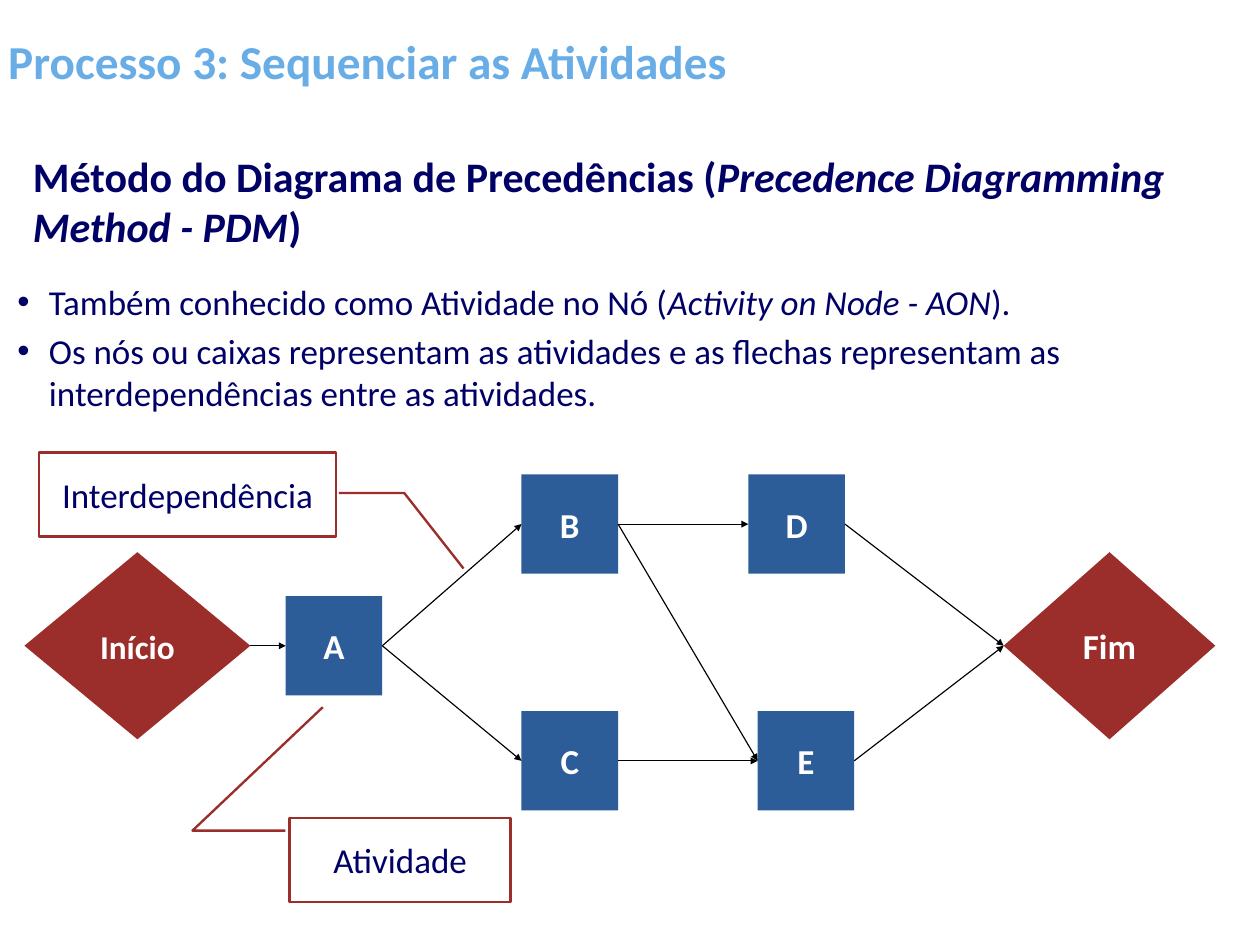
from lxml.etree import SubElement
from pptx import Presentation
from pptx.dml.color import RGBColor
from pptx.enum.shapes import MSO_CONNECTOR, MSO_SHAPE
from pptx.enum.text import MSO_ANCHOR, PP_ALIGN
from pptx.oxml.ns import qn
from pptx.util import Cm, Pt

NAVY = RGBColor(0x00, 0x00, 0x66)
BLUE = RGBColor(0x2C, 0x5D, 0x98)
LIGHT_BLUE = RGBColor(0x69, 0xAD, 0xE7)
RED = RGBColor(0x9B, 0x2D, 0x2A)
WHITE = RGBColor(0xFF, 0xFF, 0xFF)
BLACK = RGBColor(0x00, 0x00, 0x00)
LEFT, RIGHT = 1, 3  # connection sites


def write(paragraph, parts, size, color, bold=False, align=PP_ALIGN.LEFT):
    """Fill a paragraph; every second part is italic."""
    paragraph.alignment = align
    font = paragraph.font
    font.name, font.size, font.bold = "Calibri", Pt(size), bold
    font.color.rgb = color
    for index, part in enumerate(parts):
        run = paragraph.add_run()
        run.text = part
        if index % 2:
            run.font.italic = True


def add_labelled_shape(kind, box, label, fill, color, size=30, bold=True):
    shape = slide.shapes.add_shape(kind, *map(Cm, box))
    shape.shadow.inherit = False
    shape.fill.solid()
    shape.fill.fore_color.rgb = fill
    shape.line.fill.background()
    shape.text_frame.vertical_anchor = MSO_ANCHOR.MIDDLE
    write(shape.text_frame.paragraphs[0], [label], size, color, bold, PP_ALIGN.CENTER)
    return shape


presentation = Presentation()
presentation.slide_width, presentation.slide_height = Cm(38.1), Cm(28.58)
slide = presentation.slides.add_slide(presentation.slide_layouts[5])

# Title
title = slide.shapes.title
title.left, title.top, title.width, title.height = Cm(0.74), Cm(4.42), Cm(36.35), Cm(2.95)
title.text_frame.vertical_anchor = MSO_ANCHOR.TOP
write(title.text_frame.paragraphs[0],
      ["Método do Diagrama de Precedências (", "Precedence Diagramming Method - PDM", ")"],
      36, NAVY, bold=True)

# Bullets
bullets = slide.shapes.add_textbox(Cm(0.15), Cm(7.49), Cm(37.54), Cm(5.99)).text_frame
bullets.word_wrap = True
bullets.vertical_anchor = MSO_ANCHOR.MIDDLE
bullets.margin_left = bullets.margin_right = Cm(0.38)
bullets.margin_top = bullets.margin_bottom = Cm(0.18)
bullet_texts = [
    ["Também conhecido como Atividade no Nó (", "Activity on Node - AON", ")."],
    ["Os nós ou caixas representam as atividades e as flechas representam as "
     "interdependências entre as atividades."],
]
for index, parts in enumerate(bullet_texts):
    paragraph = bullets.add_paragraph() if index else bullets.paragraphs[0]
    properties = paragraph._p.get_or_add_pPr()
    properties.set("marL", str(Cm(0.95)))
    properties.set("indent", str(-Cm(0.95)))
    SubElement(properties, qn("a:buFont"), typeface="Arial")
    SubElement(properties, qn("a:buChar"), char="•")
    if index:
        paragraph.space_before = Pt(6)
    write(paragraph, parts, 30, NAVY)

# Callouts
callouts = [
    ("Atividade", (8.76, 24.74, 6.68, 2.54), (0.15, -0.02, 0.15, -0.44, -1.32, 0.15)),
    ("Interdependência", (1.19, 13.69, 8.97, 2.54), (0.48, 1.01, 0.48, 1.23, 1.38, 1.43)),
]
for label, box, pointer in callouts:
    callout = add_labelled_shape(MSO_SHAPE.LINE_CALLOUT_2, box, label, WHITE, NAVY, bold=False)
    callout.line.color.rgb = RED
    callout.line.width = Pt(2)
    for index, value in enumerate(pointer):
        callout.adjustments[index] = value

# Network nodes
nodes = {}
activities = [("A", 8.64, 18.03), ("B", 15.77, 14.35), ("C", 15.77, 21.51),
              ("D", 22.63, 14.35), ("E", 22.91, 21.51)]
for label, left, top in activities:
    nodes[label] = add_labelled_shape(
        MSO_SHAPE.RECTANGLE, (left, top, 2.92, 3), label, BLUE, WHITE)
for label, left, width, size in [("Início", 0.74, 6.83, 28.5), ("Fim", 30.35, 6.4, 30)]:
    nodes[label] = add_labelled_shape(
        MSO_SHAPE.DIAMOND, (left, 16.7, width, 5.66), label, RED, WHITE, size)

# Dependencies
dependencies = [("B", "E"), ("C", "E"), ("B", "D"), ("E", "Fim"), ("D", "Fim"),
                ("A", "B"), ("Início", "A"), ("A", "C")]
for source, target in dependencies:
    arrow = slide.shapes.add_connector(MSO_CONNECTOR.STRAIGHT, 0, 0, 0, 0)
    arrow.begin_connect(nodes[source], RIGHT)
    arrow.end_connect(nodes[target], LEFT)
    arrow.line.color.rgb = BLACK
    arrow.line.width = Pt(1)
    SubElement(arrow.line._get_or_add_ln(), qn("a:tailEnd"), type="triangle")
    SubElement(arrow._element.spPr, qn("a:effectLst"))

# Process heading
heading = slide.shapes.add_textbox(Cm(0), Cm(0.46), Cm(31.34), Cm(2.72)).text_frame
heading.word_wrap = True
heading.vertical_anchor = MSO_ANCHOR.MIDDLE
write(heading.paragraphs[0], ["Processo 3: Sequenciar as Atividades"],
      40.5, LIGHT_BLUE, bold=True)

presentation.save("out.pptx")
